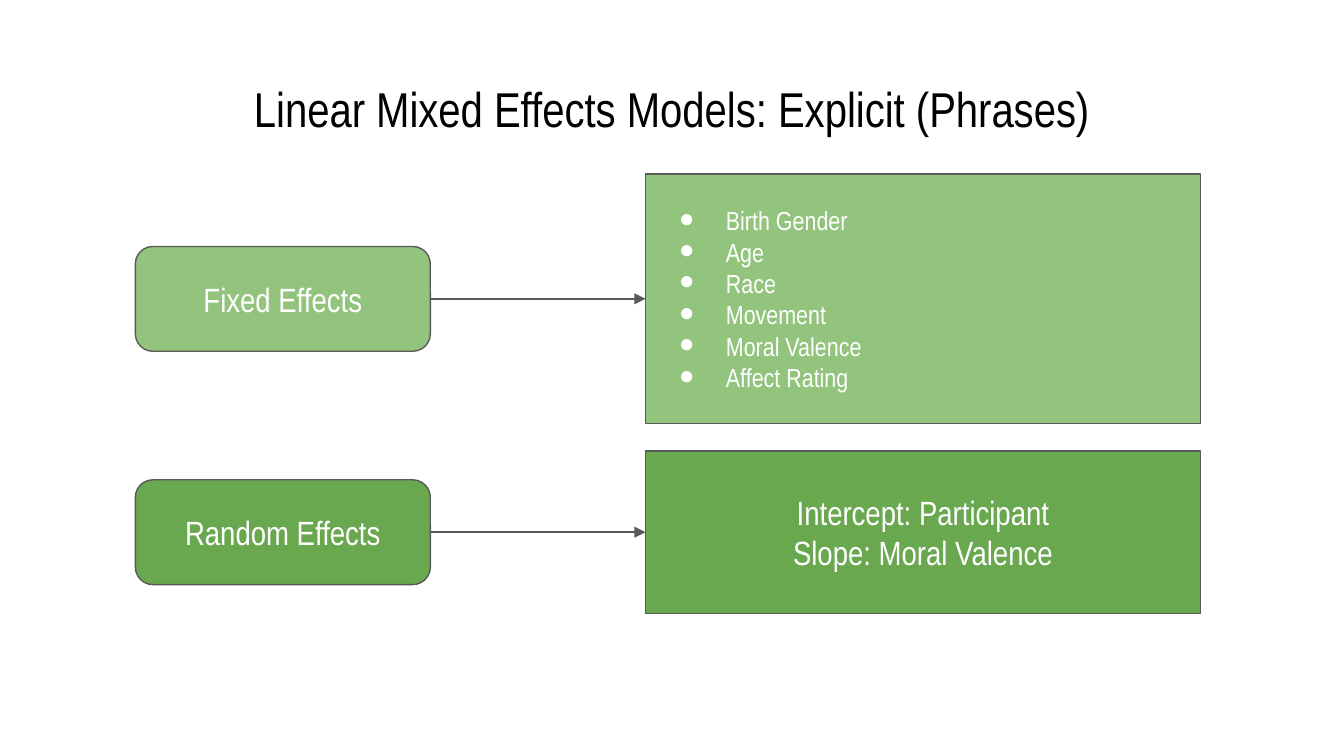
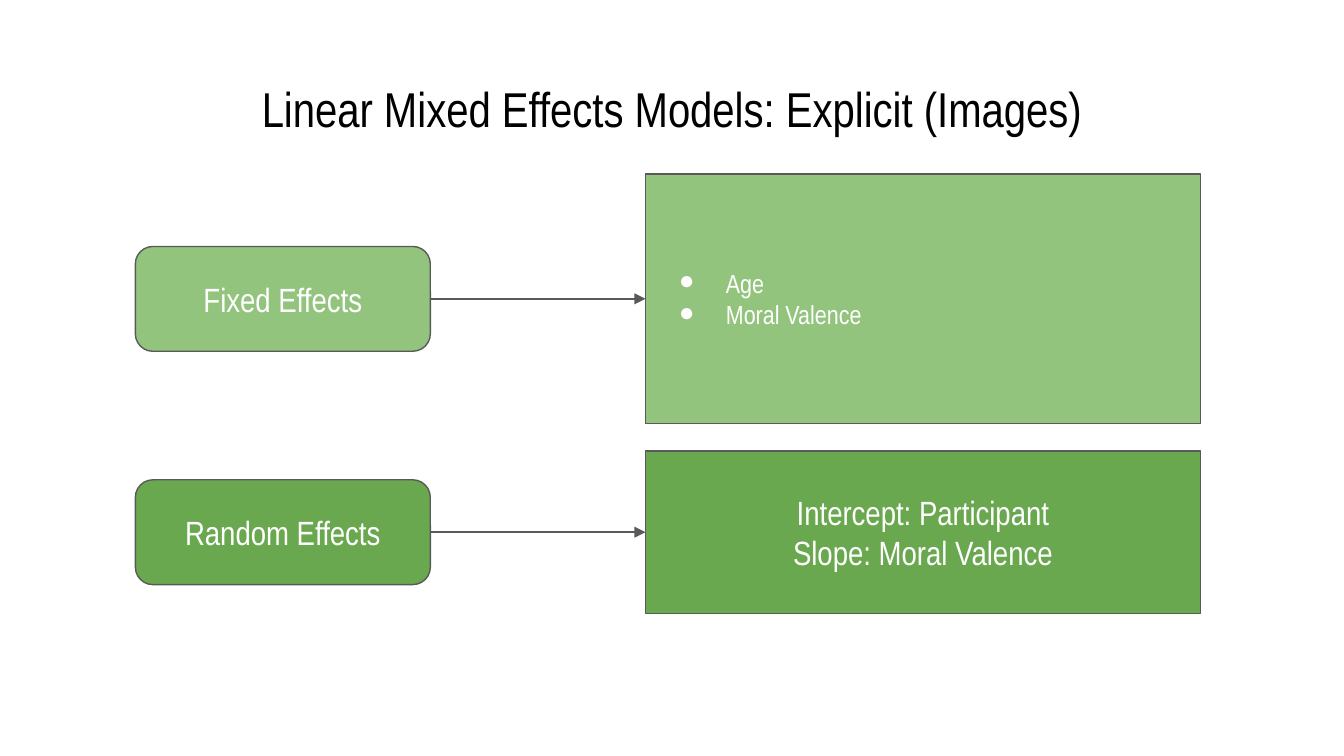
import pptx
import pptx.dml.color
import pptx.enum.shapes
import pptx.enum.text
import pptx.oxml
import pptx.oxml.ns
import pptx.util

ALIGN = pptx.enum.text.PP_ALIGN
ANCHOR = pptx.enum.text.MSO_ANCHOR
SHAPE = pptx.enum.shapes.MSO_SHAPE
LEFT_SIDE, RIGHT_SIDE = 1, 3

BLACK, WHITE, GREY = "000000", "FFFFFF", "595959"
LIGHT_GREEN, GREEN = "93C47D", "6AA84F"


def rgb(value):
    return pptx.dml.color.RGBColor.from_string(value)


def add_xml(parent, tag, **attributes):
    node = pptx.oxml.parse_xml(f"<a:{tag} {pptx.oxml.ns.nsdecls('a')}/>")
    for name, value in attributes.items():
        node.set(name, str(value))
    parent.append(node)
    return node


def write(frame, lines, size=18, color=WHITE, font="Arial Narrow",
          align=ALIGN.CENTER, anchor=ANCHOR.MIDDLE, bullet=None):
    frame.word_wrap = True
    frame.vertical_anchor = anchor
    frame.margin_left = frame.margin_right = pptx.util.Inches(0.1)
    frame.margin_top = frame.margin_bottom = pptx.util.Inches(0.1)
    for index, line in enumerate(lines):
        paragraph = frame.add_paragraph() if index else frame.paragraphs[0]
        paragraph.alignment = align
        if bullet:
            properties = paragraph._p.get_or_add_pPr()
            properties.set("marL", str(pptx.util.Inches(0.5)))
            properties.set("indent", str(-pptx.util.Inches(0.35)))
            add_xml(add_xml(properties, "buClr"), "srgbClr", val=color)
            add_xml(properties, "buSzPts", val=size * 100)
            add_xml(properties, "buFont", typeface=font)
            add_xml(properties, "buChar", char=bullet)
        run = paragraph.add_run()
        run.text = line
        run.font.name = font
        run.font.size = pptx.util.Pt(size)
        run.font.color.rgb = rgb(color)


class Deck:
    COLUMNS = 100
    ROWS = 56.25

    def __init__(self):
        self.presentation = pptx.Presentation()
        self.presentation.slide_width = pptx.util.Inches(10)
        self.presentation.slide_height = pptx.util.Inches(10 * 9 / 16)
        self.slide = None

    def x(self, columns):
        return round(self.presentation.slide_width * columns / self.COLUMNS)

    def y(self, rows):
        return round(self.presentation.slide_height * rows / self.ROWS)

    def start(self, heading):
        blank = self.presentation.slide_layouts[6]
        self.slide = self.presentation.slides.add_slide(blank)
        title = self.slide.shapes.add_textbox(
            self.x(3.4), self.y(4.87), self.x(93.2), self.y(6.3))
        write(title.text_frame, [heading], size=26.2, color=BLACK, anchor=ANCHOR.TOP)

    def box(self, kind, left, middle, width, height, fill, lines, **text_format):
        box = self.slide.shapes.add_shape(
            kind, self.x(left), self.y(middle - height / 2), self.x(width), self.y(height))
        box.shadow.inherit = False
        box.fill.solid()
        box.fill.fore_color.rgb = rgb(fill)
        self.outline(box.line)
        write(box.text_frame, lines, **text_format)
        return box

    def outline(self, line):
        line.color.rgb = rgb(GREY)
        line.width = pptx.util.Pt(0.75)

    def arrow(self, source, target):
        arrow = self.slide.shapes.add_connector(
            pptx.enum.shapes.MSO_CONNECTOR.STRAIGHT, 0, 0, 0, 0)
        arrow.begin_connect(source, RIGHT_SIDE)
        arrow.end_connect(target, LEFT_SIDE)
        self.outline(arrow.line)
        add_xml(arrow.line._get_or_add_ln(), "tailEnd", type="triangle")
        add_xml(arrow._element.spPr, "effectLst")

    def effect_row(self, name, middle, fill, height, details, **text_format):
        effect = self.box(SHAPE.ROUNDED_RECTANGLE, 10.07, middle, 21.95, 7.8, fill, [name])
        terms = self.box(SHAPE.RECTANGLE, 48.03, middle, 41.3, height, fill,
                         details, **text_format)
        self.arrow(effect, terms)

    def model(self, stimuli, fixed_effects):
        self.start(f"Linear Mixed Effects Models: Explicit ({stimuli})")
        self.effect_row("Fixed Effects", 22.24, LIGHT_GREEN, 18.55, fixed_effects,
                        size=14, align=ALIGN.LEFT, bullet="●")
        self.effect_row("Random Effects", 39.6, GREEN, 12.1,
                        ["Intercept: Participant", "Slope: Moral Valence"])


def main():
    deck = Deck()
    deck.model("Phrases", ["Birth Gender", "Age", "Race", "Movement",
                           "Moral Valence", "Affect Rating"])
    deck.model("Images", ["Age", "Moral Valence"])
    deck.presentation.save("out.pptx")


if __name__ == "__main__":
    main()
